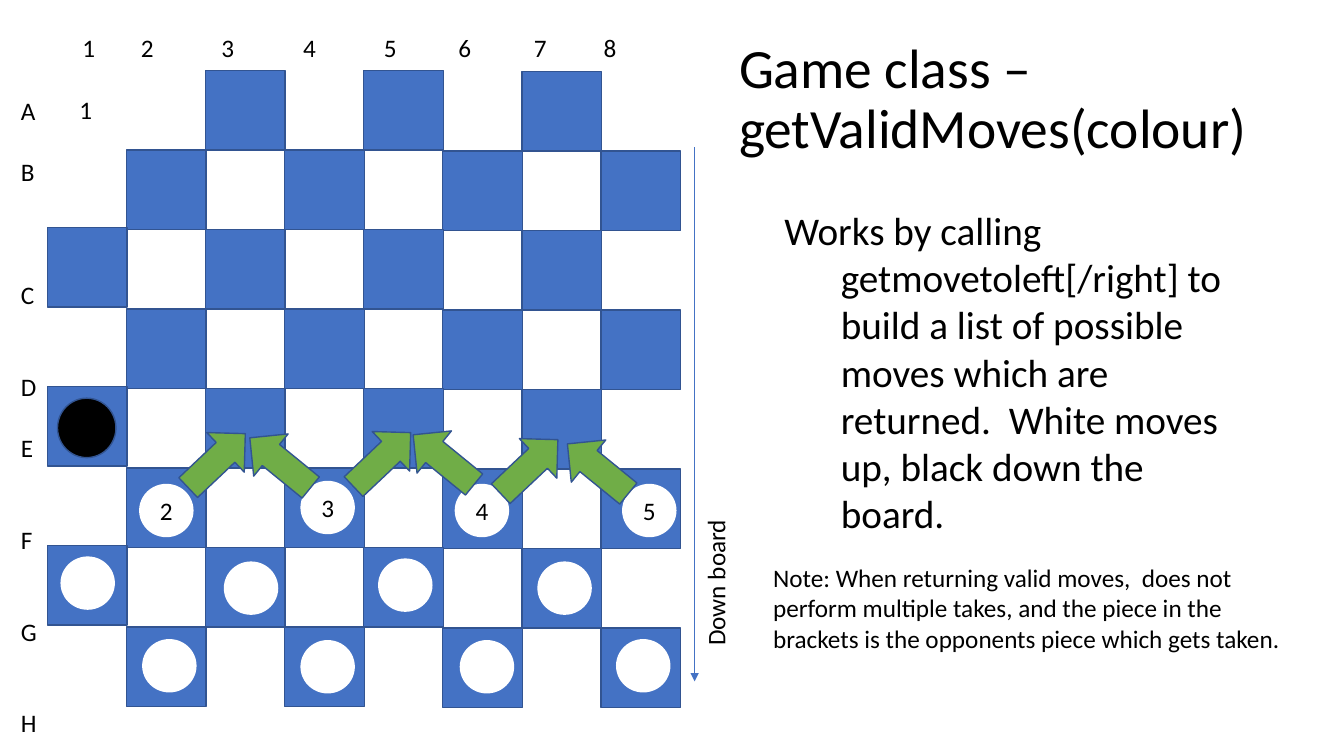
from dataclasses import dataclass
from itertools import product

from pptx import Presentation
from pptx.dml.color import RGBColor
from pptx.enum.shapes import MSO_CONNECTOR as Connector, MSO_SHAPE as Preset
from pptx.enum.text import MSO_ANCHOR as Anchor, MSO_AUTO_SIZE as AutoSize, PP_ALIGN as Align
from pptx.oxml.ns import qn
from pptx.util import Inches, Pt
from lxml.etree import SubElement

COLOURS = {"square": "4472C4", "outline": "325491", "move": "70AD47",
           "white": "FFFFFF", "black": "000000"}
FONT = "Calibri"
SIZE = 8
BOARD_LEFT, BOARD_TOP = 0.47, 0.7
STEP_X, STEP_Y = 5.49 / 7, 5.52 / 7
SQUARE = 0.79
LINE_PT = 22  # height of one 18 pt line


@dataclass(frozen=True)
class Area:
    """Left, top, width and height in inches."""
    left: float
    top: float
    width: float
    height: float

    def lengths(self) -> tuple:
        """Return the four values as lengths."""
        return tuple(Inches(v) for v in (self.left, self.top, self.width, self.height))


@dataclass(frozen=True)
class Piece:
    """A white draught, numbered when it matters to the example."""
    left: float
    top: float
    label: str = ""


@dataclass(frozen=True)
class Move:
    """A possible move, drawn as a turned arrow."""
    left: float
    top: float
    turn: float


UP_RIGHT, UP_LEFT = 226.6, 129.2
PIECES = [
    Piece(0.58, 0.82, "1"),
    Piece(1.38, 4.8, "2"), Piece(2.98, 4.77, "3"),
    Piece(4.51, 4.8, "4"), Piece(6.17, 4.8, "5"),
    Piece(0.6, 5.52), Piece(2.22, 5.57), Piece(3.75, 5.54), Piece(5.33, 5.57),
    Piece(1.41, 6.34), Piece(2.98, 6.35), Piece(4.56, 6.35), Piece(6.11, 6.34),
]
MOVES = [
    Move(1.88, 4.18, UP_RIGHT), Move(3.52, 4.17, UP_RIGHT), Move(4.98, 4.24, UP_RIGHT),
    Move(2.51, 4.2, UP_LEFT), Move(4.13, 4.17, UP_LEFT), Move(5.66, 4.26, UP_LEFT),
]
COLUMN_CENTRES = [0.88, 1.46, 2.26, 3.07, 3.87, 4.61, 5.36, 6.05]
ROW_GAPS = [0, 1, 3, 2, 1, 2, 2, 2]  # empty lines above each row letter


def colour(name: str) -> RGBColor:
    """Look up a named colour."""
    return RGBColor.from_string(COLOURS[name])


def add_span(para, text: str, size: float = 18) -> None:
    """Add one run of black text to a paragraph."""
    span = para.add_run()
    span.text = text
    span.font.name = FONT
    span.font.size = Pt(size)
    span.font.color.rgb = colour("black")


def add_label(page, area: Area, text: str, align=Align.LEFT, wrap: bool = True):
    """Add a text box with one paragraph."""
    box = page.shapes.add_textbox(*area.lengths())
    box.text_frame.word_wrap = wrap
    para = box.text_frame.paragraphs[0]
    para.alignment = align
    add_span(para, text)
    return box


def add_figure(page, preset, area: Area, fill: str, outlined: bool = True):
    """Add a filled preset shape, with or without the board's outline."""
    figure = page.shapes.add_shape(preset, *area.lengths())
    figure.shadow.inherit = False
    figure.fill.solid()
    figure.fill.fore_color.rgb = colour(fill)
    if outlined:
        figure.line.color.rgb = colour("outline")
        figure.line.width = Pt(1)
    else:
        figure.line.fill.background()
    return figure


def fill_placeholder(holder, area: Area, text: str, size: float, anchor):
    """Move a placeholder, write its text and return the paragraph."""
    holder.left, holder.top, holder.width, holder.height = area.lengths()
    frame = holder.text_frame
    frame.word_wrap = True
    frame.auto_size = AutoSize.NONE
    frame.vertical_anchor = anchor
    para = frame.paragraphs[0]
    para.alignment = Align.LEFT
    para.space_before = Pt(0)
    add_span(para, text, size)
    return para


def add_texts(page) -> None:
    """Write the title, the explanation and the note."""
    title = fill_placeholder(page.shapes.title, Area(7.23, 0.27, 5.6, 1.45),
                             "Game class – getValidMoves(colour)", 39.6, Anchor.MIDDLE)
    title.line_spacing = 0.9
    body = fill_placeholder(
        page.placeholders[1], Area(7.68, 2, 4.74, 4.76),
        "Works by calling getmovetoleft[/right] to build a list of possible moves "
        "which are returned.  White moves up, black down the board.", 28, Anchor.TOP)
    props = body._p.get_or_add_pPr()
    props.set("marL", str(Inches(0.56)))
    props.set("indent", str(-Inches(0.56)))
    SubElement(props, qn("a:buNone"))
    add_label(page, Area(7.57, 5.53, 5.54, 1.01),
              "Note: When returning valid moves,  does not perform multiple takes, and "
              "the piece in the brackets is the opponents piece which gets taken.")


def add_board(page) -> None:
    """Draw the dark squares; corner A1 has none."""
    for row, column in product(range(SIZE), repeat=2):
        if (row + column) % 2 or row == column == 0:
            continue
        nudge = -0.02 if column == 0 else 0.01 if column > 4 else 0
        area = Area(BOARD_LEFT + column * STEP_X, BOARD_TOP + row * STEP_Y + nudge,
                    SQUARE, SQUARE)
        add_figure(page, Preset.RECTANGLE, area, "square")


def add_coordinates(page) -> None:
    """Write the column numbers and the row letters."""
    for number, centre in enumerate(COLUMN_CENTRES, start=1):
        add_label(page, Area(centre - 0.2, 0.27, 0.4, 0.4), str(number), Align.CENTER)
    box = page.shapes.add_textbox(*Area(0.11, 0.9, 0.4, 6.16).lengths())
    frame = box.text_frame
    frame.word_wrap = True
    for index, (letter, gap) in enumerate(zip("ABCDEFGH", ROW_GAPS)):
        para = frame.add_paragraph() if index else frame.paragraphs[0]
        para.space_before = Pt(gap * LINE_PT)
        add_span(para, letter)


def add_direction(page) -> None:
    """Draw the arrow that shows which way is down the board."""
    label = add_label(page, Area(6.36, 5.57, 1.47, 0.4), "Down board", wrap=False)
    label.rotation = 270
    arrow = page.shapes.add_connector(Connector.STRAIGHT, Inches(6.89), Inches(1.46),
                                      Inches(6.89), Inches(6.76))
    arrow.line.color.rgb = colour("square")
    arrow.line.width = Pt(0.5)
    SubElement(arrow.line._get_or_add_ln(), qn("a:tailEnd"), type="triangle")
    SubElement(arrow._element.spPr, qn("a:effectLst"))


def add_pieces(page) -> None:
    """Place the black piece and the white ones."""
    add_figure(page, Preset.OVAL, Area(0.57, 3.95, 0.58, 0.59), "black")
    for piece in PIECES:
        disc = add_figure(page, Preset.OVAL, Area(piece.left, piece.top, 0.54, 0.53),
                          "white", outlined=False)
        if piece.label:
            disc.text_frame.vertical_anchor = Anchor.MIDDLE
            para = disc.text_frame.paragraphs[0]
            para.alignment = Align.CENTER
            add_span(para, piece.label)


def add_moves(page) -> None:
    """Draw an arrow for each possible move."""
    for move in MOVES:
        arrow = add_figure(page, Preset.DOWN_ARROW, Area(move.left, move.top, 0.54, 0.78),
                           "move")
        arrow.rotation = move.turn


deck = Presentation()
deck.slide_width, deck.slide_height = Inches(13.33), Inches(7.5)
page = deck.slides.add_slide(deck.slide_layouts[1])
for draw in (add_texts, add_board, add_coordinates, add_direction, add_pieces, add_moves):
    draw(page)
deck.save("out.pptx")
